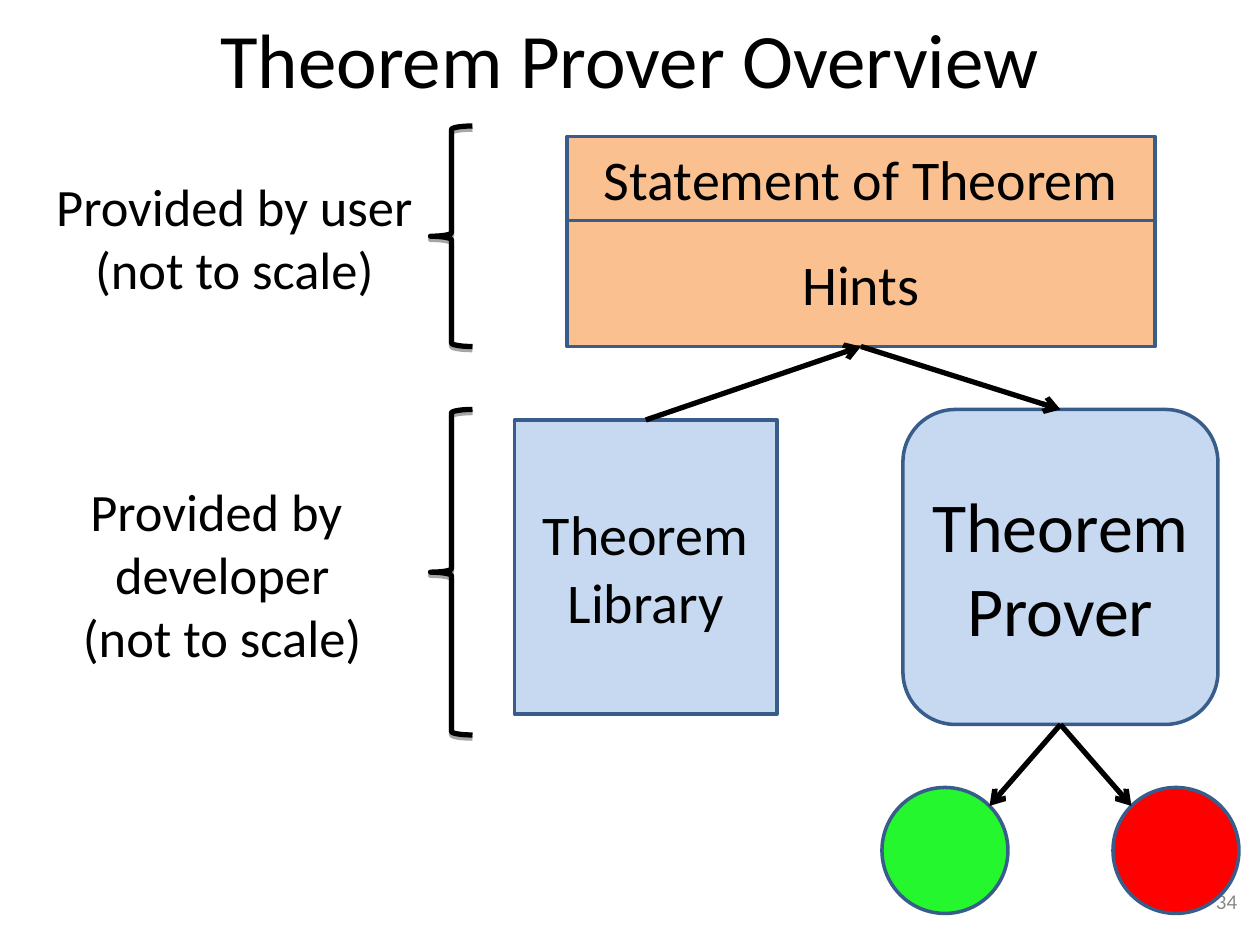
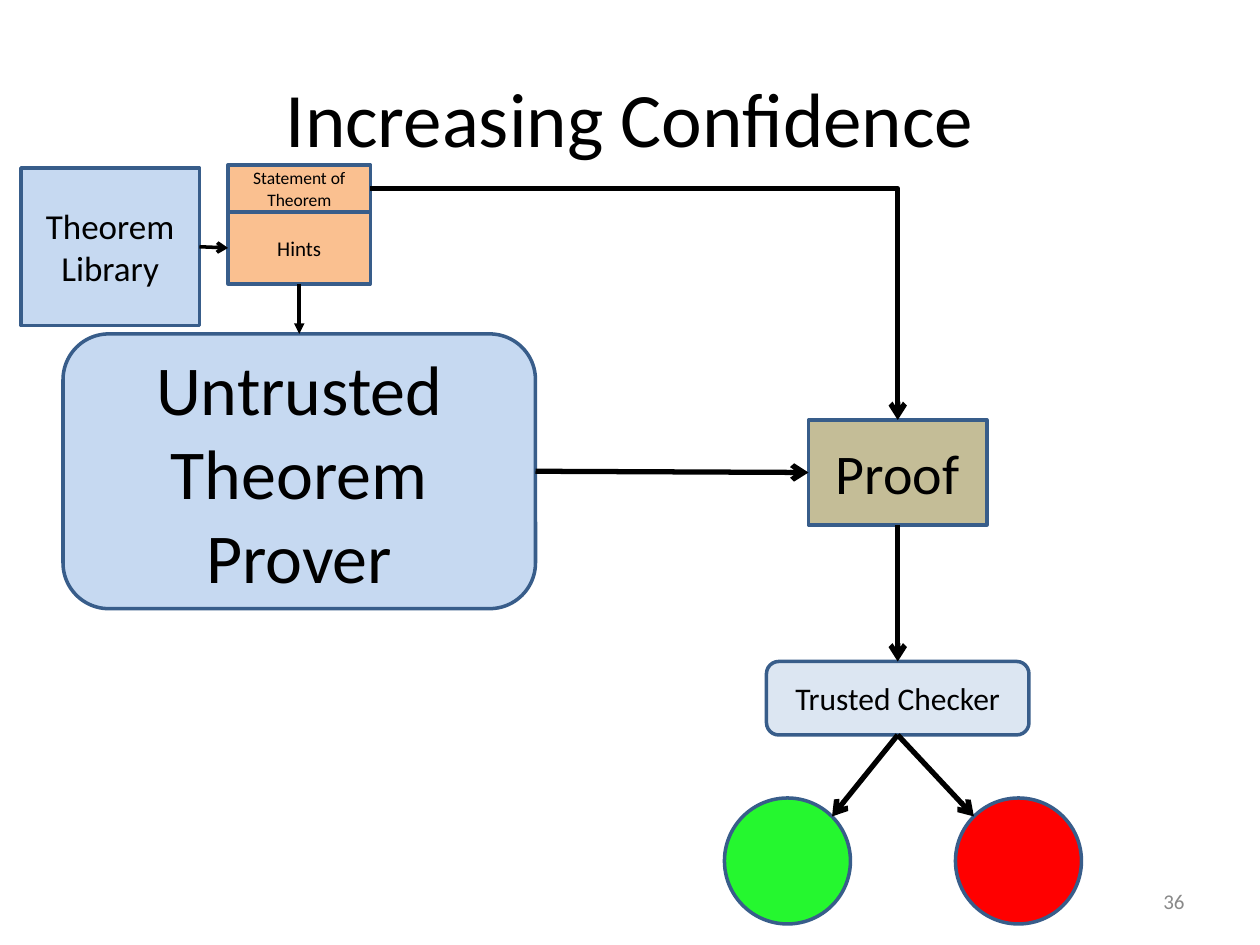
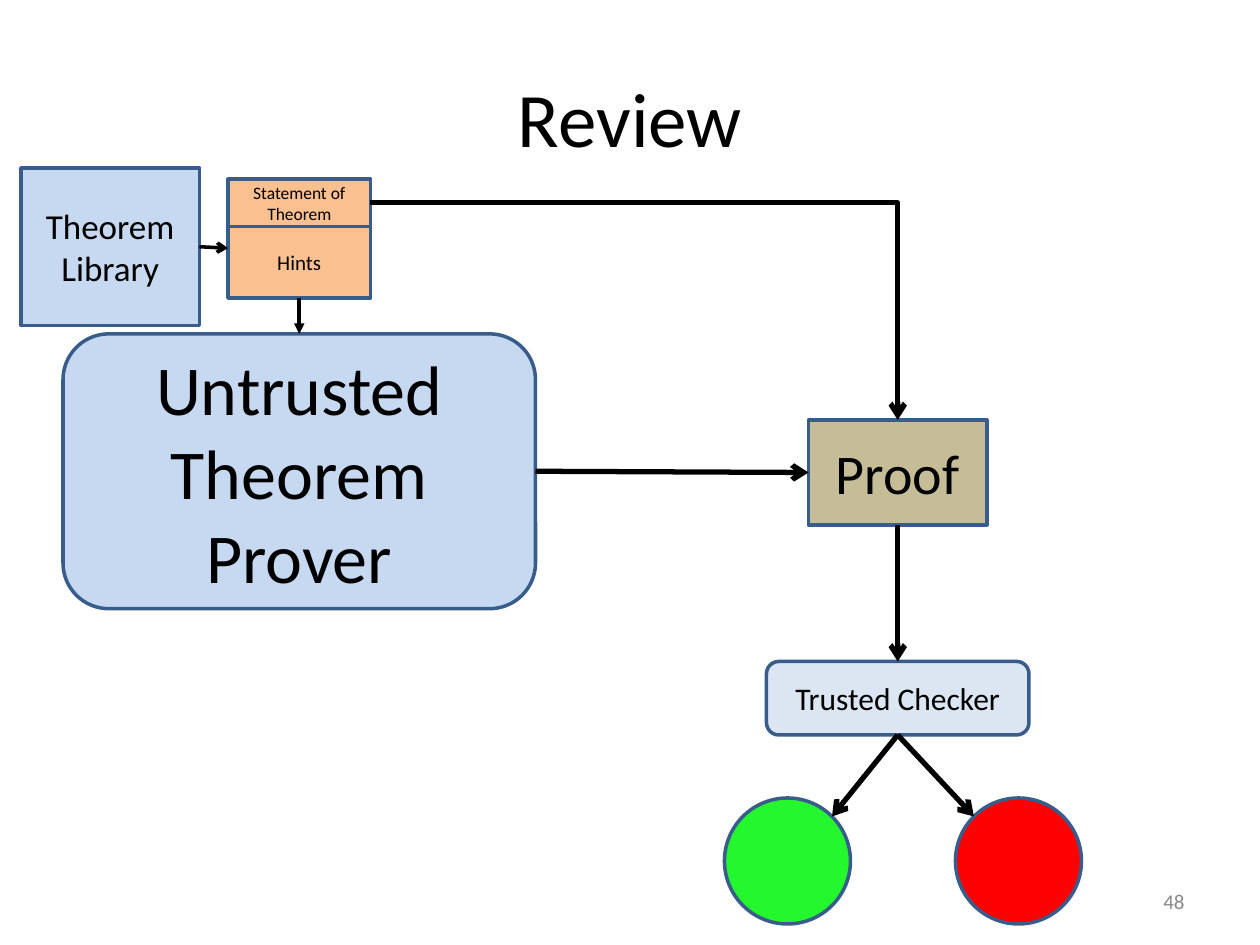
from math import sqrt

from lxml.etree import SubElement
from pptx import Presentation
from pptx.dml.color import RGBColor
from pptx.enum.shapes import MSO_CONNECTOR as CXN, MSO_SHAPE as SHAPE
from pptx.enum.text import MSO_ANCHOR as ANCHOR, PP_ALIGN as ALIGN
from pptx.oxml.ns import qn
from pptx.util import Pt

# Shared look
FONT = "Calibri"
BLACK, GRAY = "000000", "898989"
BORDER = "385D8A"
BLUE, PALE_BLUE = "C6D9F1", "DCE6F2"
ORANGE, TAN = "FAC090", "C4BD97"
GREEN, RED = "25F72F", "FF0000"
TOP, LEFT, BOTTOM, RIGHT = range(4)  # connection sites
CIRCLE = 72


def color(value):
    return RGBColor.from_string(value)


def put_text(tf, text, size=32, fill=BLACK, align=ALIGN.CENTER,
             anchor=ANCHOR.MIDDLE, wrap=True):
    """Write each line of text as one paragraph."""
    tf.word_wrap = wrap
    tf.vertical_anchor = anchor
    for i, line in enumerate(text.split("\n")):
        p = tf.paragraphs[0] if i == 0 else tf.add_paragraph()
        p.alignment = align
        r = p.add_run()
        r.text = line
        r.font.name = FONT
        r.font.size = Pt(size)
        r.font.color.rgb = color(fill)


def add_label(s, text, left, top, width, height, **fmt):
    sp = s.shapes.add_textbox(Pt(left), Pt(top), Pt(width), Pt(height))
    put_text(sp.text_frame, text, **fmt)


def add_box(s, left, top, width, height, fill, text="", kind=SHAPE.RECTANGLE, size=32):
    sp = s.shapes.add_shape(kind, Pt(left), Pt(top), Pt(width), Pt(height))
    sp.shadow.inherit = False
    sp.fill.solid()
    sp.fill.fore_color.rgb = color(fill)
    sp.line.color.rgb = color(BORDER)
    sp.line.width = Pt(2)
    if text:
        put_text(sp.text_frame, text, size=size)
    return sp


def add_brace(s, left, top, width, height):
    sp = s.shapes.add_shape(SHAPE.LEFT_BRACE, Pt(left), Pt(top), Pt(width), Pt(height))
    sp.fill.background()
    sp.line.color.rgb = color(BLACK)
    sp.line.width = Pt(3)
    # Soft shadow straight below
    sp.shadow.inherit = False
    effects = sp._element.spPr.find(qn("a:effectLst"))
    shadow = SubElement(effects, qn("a:outerShdw"), blurRad="0",
                        dist=str(Pt(1.8)), dir="5400000", rotWithShape="0")
    black = SubElement(shadow, qn("a:srgbClr"), val=BLACK)
    SubElement(black, qn("a:alpha"), val="35000")


def add_arrow(s, source, site, target=None, target_site=TOP, point=(0, 0),
              width=3, head="arrow", bent=False):
    """Run from a side of source to a side of target, or to a free point."""
    kind = CXN.ELBOW if bent else CXN.STRAIGHT
    x, y = (Pt(v) for v in point)
    cxn = s.shapes.add_connector(kind, x, y, x, y)
    cxn.begin_connect(source, site)
    if target is not None:
        cxn.end_connect(target, target_site)
    cxn.line.color.rgb = color(BLACK)
    cxn.line.width = Pt(width)
    sp_pr = cxn._element.spPr
    SubElement(sp_pr.find(qn("a:ln")), qn("a:tailEnd"), type=head)
    SubElement(sp_pr, qn("a:effectLst"))
    if bent:  # a single corner
        sp_pr.find(qn("a:prstGeom")).set("prst", "bentConnector2")


def add_verdicts(s, source, left, top):
    """Green and red outcome circles with arrows from the source."""
    inset = CIRCLE / 2 * (1 - 1 / sqrt(2))
    gap = 132
    add_box(s, left, top, CIRCLE, CIRCLE, GREEN, kind=SHAPE.OVAL)
    add_box(s, left + gap, top, CIRCLE, CIRCLE, RED, kind=SHAPE.OVAL)
    for x in (left + CIRCLE - inset, left + gap + inset):
        add_arrow(s, source, BOTTOM, point=(x, top + inset))


def add_slide(prs, title, number, title_top=21.6, title_height=90, number_left=516):
    s = prs.slides.add_slide(prs.slide_layouts[5])
    sp = s.shapes.title
    sp.left, sp.top = Pt(36), Pt(title_top)
    sp.width, sp.height = Pt(648), Pt(title_height)
    put_text(sp.text_frame, title, size=44)
    add_label(s, number, number_left, 500.4, 168, 28.8,
              size=12, fill=GRAY, align=ALIGN.RIGHT)
    return s


def add_checker_diagram(s, theorem_top):
    """Prover and checker flow; returns the library and hints boxes."""
    prover = add_box(s, 36, 190.8, 270, 157, BLUE, "Untrusted\nTheorem Prover",
                     SHAPE.ROUNDED_RECTANGLE, 40)
    theorem = add_box(s, 130.3, theorem_top, 81.4, 27, ORANGE,
                      "Statement of Theorem", size=10)
    hints = add_box(s, 130.3, theorem_top + 27, 81.4, 41, ORANGE, "Hints", size=12)
    proof = add_box(s, 462, 240, 102, 60, TAN, "Proof")
    checker = add_box(s, 438, 378, 150, 42, PALE_BLUE, "Trusted Checker",
                      SHAPE.ROUNDED_RECTANGLE, 18)
    library = add_box(s, 12, 96, 102, 90, BLUE, "Theorem\nLibrary", size=20)

    add_arrow(s, hints, BOTTOM, prover, width=2, head="triangle")
    add_arrow(s, theorem, RIGHT, proof, bent=True)
    add_arrow(s, prover, RIGHT, proof, LEFT)
    add_arrow(s, proof, BOTTOM, checker)
    add_verdicts(s, checker, 414, 456)
    return library, hints


def build_overview(prs):
    s = add_slide(prs, "Theorem Prover Overview", "34", 0, 66, 546)
    prover = add_box(s, 516, 234, 180, 180, BLUE, "Theorem Prover",
                     SHAPE.ROUNDED_RECTANGLE, 40)
    add_box(s, 324, 78, 336, 48, ORANGE, "Statement of Theorem")
    hints = add_box(s, 324, 126, 336, 72, ORANGE, "Hints")
    library = add_box(s, 294, 240, 150, 168, BLUE, "Theorem\nLibrary")
    add_verdicts(s, prover, 504, 450)
    add_arrow(s, hints, BOTTOM, prover)
    add_arrow(s, library, TOP, hints, BOTTOM)

    # Who provides what
    add_brace(s, 246, 72, 24, 126)
    add_brace(s, 246, 234, 24, 186)
    add_label(s, "Provided by user\n(not to scale)", 24.5, 96, 219, 79,
              size=30, anchor=ANCHOR.TOP, wrap=False)
    add_label(s, "Provided by \ndeveloper\n(not to scale)", -18, 270, 290, 115,
              size=30, anchor=ANCHOR.TOP)


def build_confidence(prs):
    s = add_slide(prs, "Increasing Confidence", "36")
    library, hints = add_checker_diagram(s, 94.2)
    add_arrow(s, library, RIGHT, hints, LEFT, width=2)


def build_review(prs):
    s = add_slide(prs, "Review", "48")
    library, _ = add_checker_diagram(s, 102.4)
    add_arrow(s, library, RIGHT, point=(130.3, 141.8), width=2)


def main():
    prs = Presentation()
    prs.slide_width, prs.slide_height = Pt(720), Pt(540)
    build_overview(prs)
    build_confidence(prs)
    build_review(prs)
    prs.save("out.pptx")


if __name__ == "__main__":
    main()
